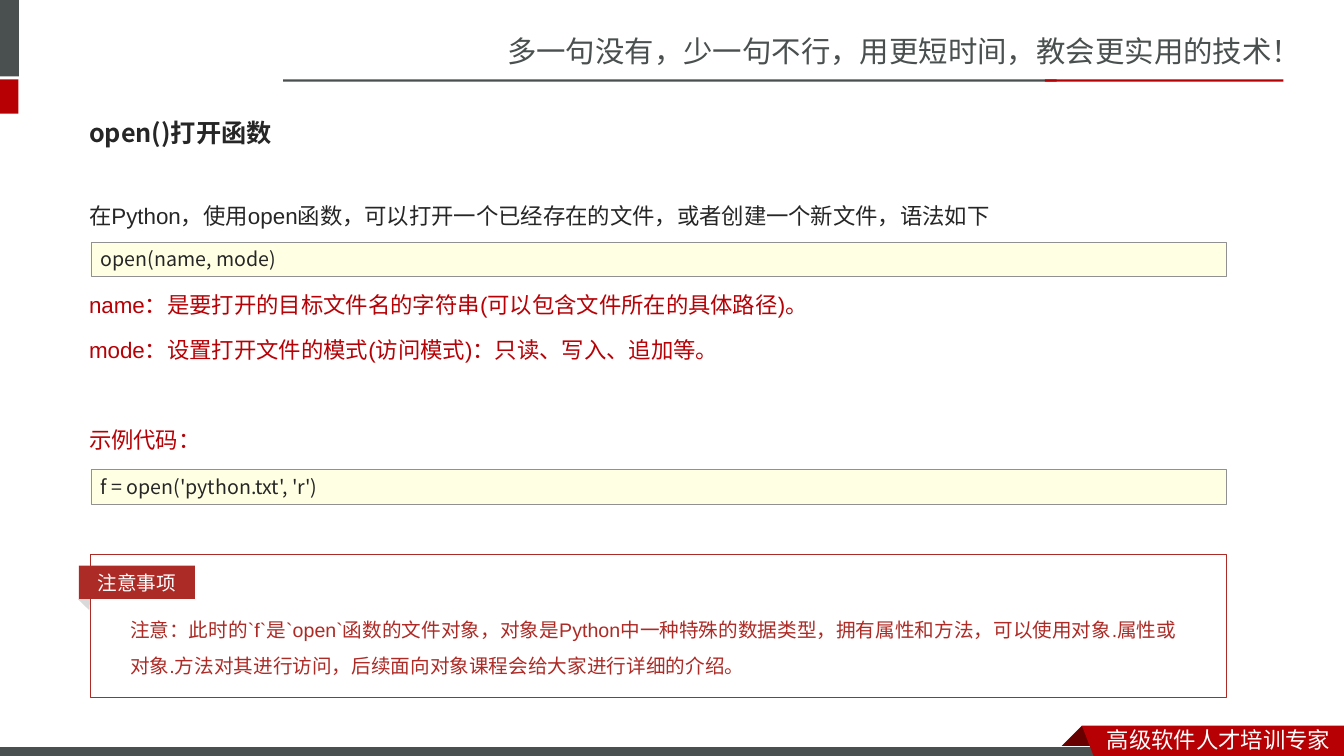
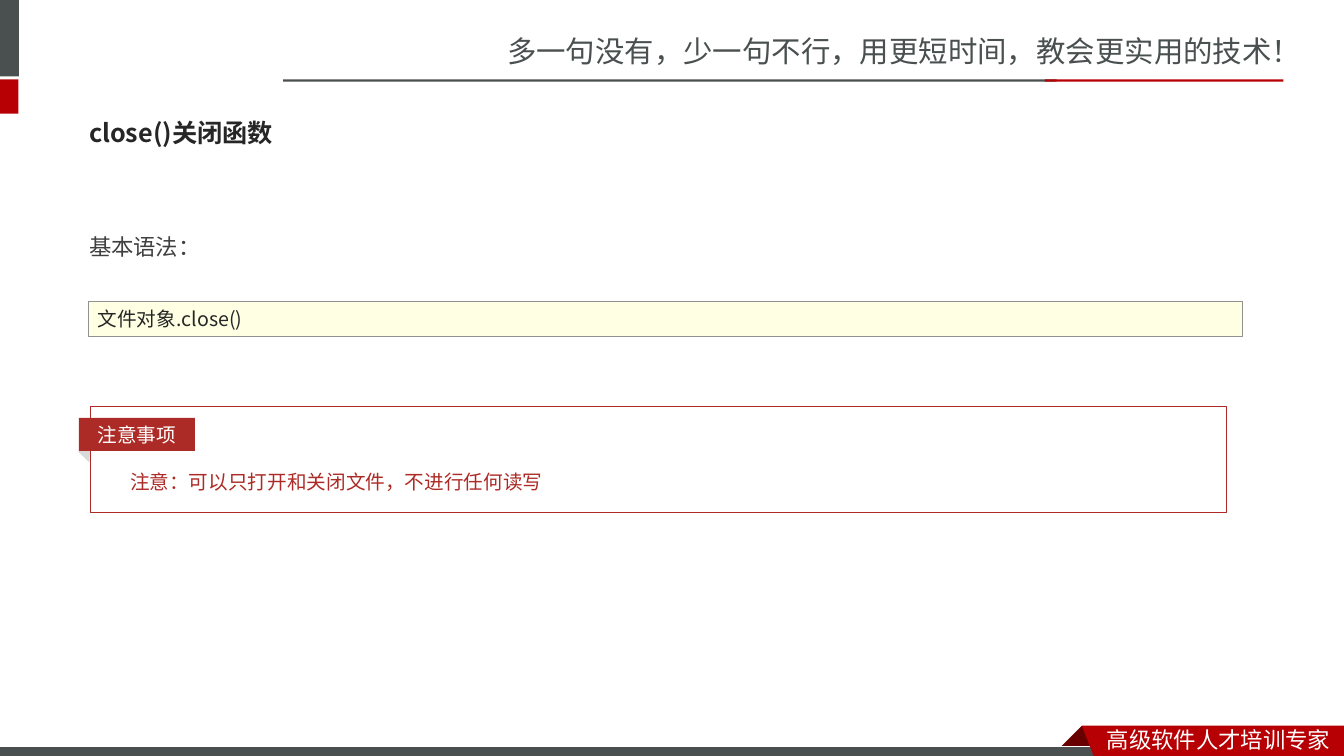
import collections

import lxml.etree
import pptx
import pptx.dml.color
import pptx.enum.shapes
import pptx.enum.text
import pptx.oxml.ns
import pptx.util

RGBColor = pptx.dml.color.RGBColor
Pt = pptx.util.Pt
Shape = pptx.enum.shapes.MSO_SHAPE
Align = pptx.enum.text.PP_ALIGN
Anchor = pptx.enum.text.MSO_ANCHOR

SLATE = RGBColor(0x49, 0x50, 0x4F)
RED = RGBColor(0xB6, 0x00, 0x04)
TERM_RED = RGBColor(0xB6, 0x02, 0x06)
NOTE_RED = RGBColor(0xAD, 0x2B, 0x26)
FOLD_RED = RGBColor(0x68, 0x00, 0x00)
INK = RGBColor(0x26, 0x26, 0x26)
SOFT_INK = RGBColor(0x40, 0x40, 0x40)
PALE_YELLOW = RGBColor(0xFF, 0xFF, 0xE4)
CODE_EDGE = RGBColor(0x91, 0x91, 0x91)
LIGHT_GREY = RGBColor(0xD9, 0xD9, 0xD9)
WHITE = RGBColor(0xFF, 0xFF, 0xFF)

CJK_FONT = "Noto Sans CJK SC"
CODE_FONT = "Noto Sans CJK JP"
BODY_FONT = "Arial"

# The slide is a grid of 160 columns by 90 rows of square cells.
COLUMNS, ROWS = 160, 90
CELL = pptx.util.Inches(1) / 12
CODE_HEIGHT = 4.1
BODY_LINE = Pt(32)

Box = collections.namedtuple("Box", "left top width height")


def cells(count):
    return pptx.util.Emu(round(count * CELL))


def place(shape, box):
    for side, count in box._asdict().items():
        setattr(shape, side, cells(count))


def inside(box, left, top, width, height):
    """Box whose corner is measured from the corner of another box."""
    return Box(box.left + left, box.top + top, width, height)


def paint(shape, fill=None, edge=None, edge_width=0.75):
    shape.shadow.inherit = False
    if fill is None:
        shape.fill.background()
    else:
        shape.fill.solid()
        shape.fill.fore_color.rgb = fill
    if edge is None:
        shape.line.fill.background()
    else:
        shape.line.color.rgb = edge
        shape.line.width = Pt(edge_width)


def add_block(shapes, box, fill=None, edge=None, edge_width=0.75, preset=Shape.RECTANGLE):
    block = shapes.add_shape(preset, *map(cells, box))
    paint(block, fill, edge, edge_width)
    return block


def add_outline(shapes, corners, fill):
    start, *others = [(cells(x), cells(y)) for x, y in corners]
    builder = shapes.build_freeform(*start)
    builder.add_line_segments(others)
    paint(builder.convert_to_shape(), fill)


def write(para, text, size, color, font=BODY_FONT, bold=False, **layout):
    """Fill a paragraph with one formatted run and set its layout."""
    for name, value in {"alignment": Align.LEFT, **layout}.items():
        setattr(para, name, value)
    span = para.add_run()
    span.text = text
    span.font.color.rgb = color
    for name, value in {"name": font, "size": Pt(size), "bold": bold}.items():
        setattr(span.font, name, value)
    east_asian = lxml.etree.SubElement(span.font._element, pptx.oxml.ns.qn("a:ea"))
    east_asian.set("typeface", CJK_FONT)


def remove_bullet(para):
    properties = para._p.get_or_add_pPr()
    for name in ("marL", "indent"):
        properties.set(name, "0")
    lxml.etree.SubElement(properties, pptx.oxml.ns.qn("a:buNone"))


def add_label(shapes, box, text, size, color, wrap=False, **layout):
    frame = shapes.add_textbox(*map(cells, box)).text_frame
    frame.word_wrap = wrap
    write(frame.paragraphs[0], text, size, color, **layout)


def draw_header(shapes):
    add_label(shapes, Box(59.2, 3.4, 100.8, 5.4),
              "多一句没有，少一句不行，用更短时间，教会更实用的技术！", 21, SLATE, font=CJK_FONT)
    for box, color in (
        (Box(0, 0, 2.25, 9.1), SLATE),
        (Box(0, 9.45, 2.2, 4.1), RED),
        (Box(33.7, 9.45, 92.1, 0.28), SLATE),
        (Box(124.4, 9.45, 28.4, 0.28), RED),
    ):
        add_block(shapes, box, color)


def draw_footer(shapes):
    peak = (128.8, 86.4)
    add_outline(shapes, [peak, (131.4, 89.1), (126.1, 89.1)], FOLD_RED)
    add_block(shapes, Box(-0.1, 88.9, 132, 1.4), SLATE, WHITE)
    add_outline(shapes, [peak, (COLUMNS, peak[1]), (COLUMNS, ROWS), (130.2, ROWS)], RED)
    add_label(shapes, Box(130.6, 85.8, 29.4, 4.4), "高级软件人才培训专家", 16, WHITE, font=CJK_FONT)


def prepare_layout(deck):
    """Set the placeholders and the shared decoration on one layout."""
    layout = deck.slide_layouts[1]
    for holder in list(layout.placeholders):
        if holder.placeholder_format.idx > 1:
            holder.element.getparent().remove(holder.element)
    place(layout.placeholders[0], Box(9.4, 12.35, 141.1, 6.85))
    place(layout.placeholders[1], Box(9.4, 21.3, 141.1, 55.4))
    return layout


def move_to_layout(page, layout):
    for shape in list(page.shapes):
        if not shape.is_placeholder:
            layout.shapes.element.append(shape.element)


def fill_title(page, text):
    frame = page.shapes.title.text_frame
    frame.vertical_anchor = Anchor.MIDDLE
    write(frame.paragraphs[0], text, 18, INK, font=CODE_FONT, bold=True)


def fill_body(page, lines):
    """Lines are (text, colour, blank lines above)."""
    frame = page.placeholders[1].text_frame
    frame.auto_size = pptx.enum.text.MSO_AUTO_SIZE.NONE
    for index, (text, color, gap) in enumerate(lines):
        para = frame.add_paragraph() if index else frame.paragraphs[0]
        remove_bullet(para)
        write(para, text, 16, color, line_spacing=BODY_LINE,
              space_before=pptx.util.Emu(BODY_LINE * gap))


def add_code(page, box, text):
    frame = add_block(page.shapes, box, PALE_YELLOW, CODE_EDGE, 0.25).text_frame
    frame.vertical_anchor = Anchor.MIDDLE
    frame.margin_top = frame.margin_bottom = 0
    write(frame.paragraphs[0], text, 14, INK, font=CODE_FONT)


def add_note(page, box, text):
    """Framed note with a folded tag at its upper left."""
    shapes = page.shapes
    fold = add_block(shapes, inside(box, -1.4, 5.05, 1.9, 1.1), LIGHT_GREY, preset=Shape.ISOSCELES_TRIANGLE)
    fold.rotation = 44.2
    add_label(shapes, inside(box, 3.5, 5.5, box.width - 6.9, box.height - 7), text,
              14, NOTE_RED, wrap=True, line_spacing=Pt(25.7))
    add_block(shapes, box, edge=NOTE_RED)
    tag = add_block(shapes, inside(box, -1.4, 1.35, 13.8, 3.95), NOTE_RED)
    tag.text_frame.vertical_anchor = Anchor.MIDDLE
    write(tag.text_frame.paragraphs[0], "注意事项", 14, WHITE, alignment=Align.CENTER)


def fill_open_page(page):
    fill_title(page, "open()打开函数")
    fill_body(page, [
        ("在Python，使用open函数，可以打开一个已经存在的文件，或者创建一个新文件，语法如下", INK, 0),
        ("name：是要打开的目标文件名的字符串(可以包含文件所在的具体路径)。", TERM_RED, 1),
        ("mode：设置打开文件的模式(访问模式)：只读、写入、追加等。", TERM_RED, 0),
        ("示例代码：", TERM_RED, 1),
    ])
    for top, code in ((28.8, "open(name, mode)"), (55.9, "f = open('python.txt', 'r')")):
        add_code(page, Box(10.8, top, 135.2, CODE_HEIGHT), code)
    add_note(page, Box(10.8, 66, 135.2, 17.05),
             "注意：此时的`f`是`open`函数的文件对象，对象是Python中一种特殊的数据类型，"
             "拥有属性和方法，可以使用对象.属性或对象.方法对其进行访问，"
             "后续面向对象课程会给大家进行详细的介绍。")


def fill_close_page(page):
    fill_title(page, "close()关闭函数")
    place(page.placeholders[1], Box(9.4, 25, 141.1, 6))
    fill_body(page, [("基本语法：", SOFT_INK, 0)])
    add_code(page, Box(10.45, 35.9, 137.4, CODE_HEIGHT), "文件对象.close()")
    add_note(page, Box(10.8, 48.4, 135.2, 12.6), "注意：可以只打开和关闭文件，不进行任何读写")


def main():
    deck = pptx.Presentation()
    deck.slide_width, deck.slide_height = cells(COLUMNS), cells(ROWS)
    layout = prepare_layout(deck)
    open_page, close_page = (deck.slides.add_slide(layout) for _ in range(2))
    draw_header(open_page.shapes)
    draw_footer(open_page.shapes)
    move_to_layout(open_page, layout)
    fill_open_page(open_page)
    fill_close_page(close_page)
    deck.save("out.pptx")


if __name__ == "__main__":
    main()
